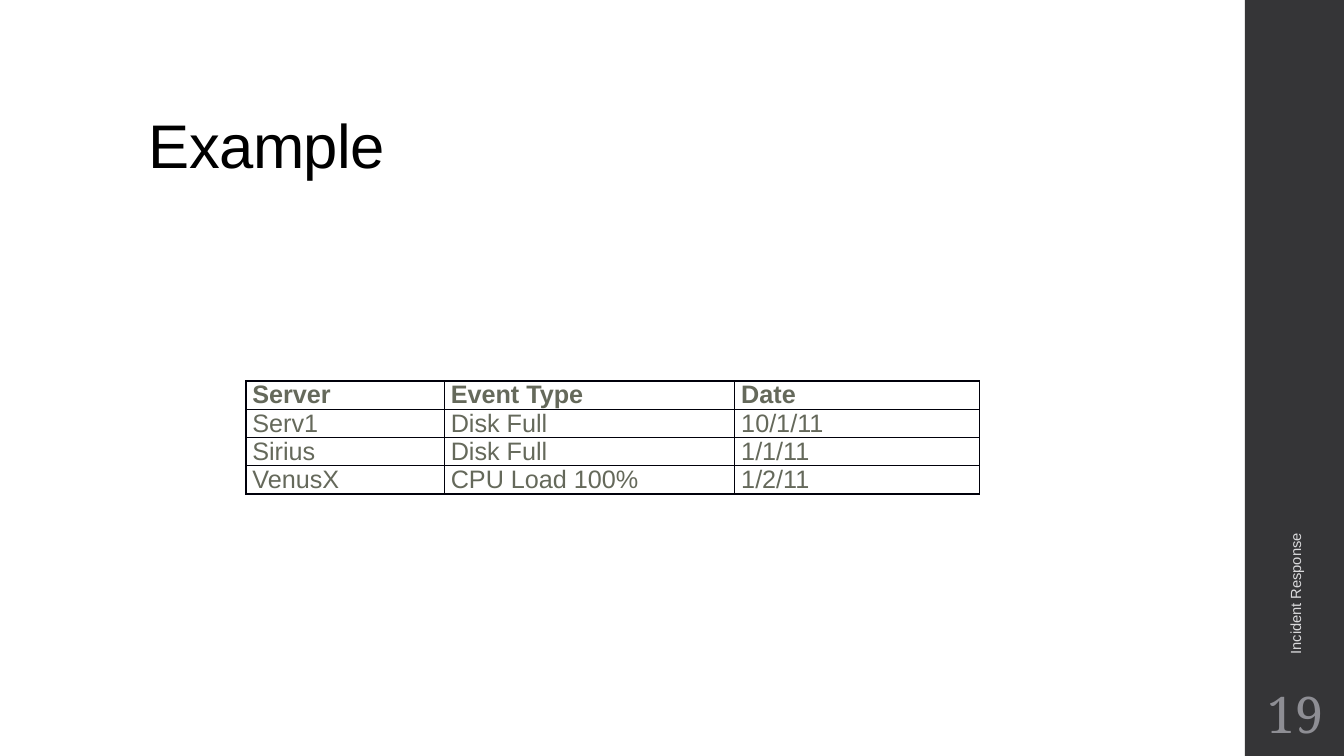
from lxml import etree
from pptx import Presentation, util as u
from pptx.dml.color import RGBColor
from pptx.enum import shapes, text
from pptx.oxml.ns import qn

SLIDE_WIDTH, SLIDE_HEIGHT = u.Cm(33.87), u.Cm(19.05)
SIDEBAR_LEFT = u.Cm(31.37)
EVENTS = [
    ("Server", "Event Type", "Date"),
    ("Serv1", "Disk Full", "10/1/11"),
    ("Sirius", "Disk Full", "1/1/11"),
    ("VenusX", "CPU Load 100%", "1/2/11"),
]
COLUMN_WIDTHS = (5, 7.32, 6.17)
ROW_HEIGHT = 0.71


def paint(color_format, value):
    color_format.rgb = RGBColor.from_string(value)


def fill_solid(fill, value):
    fill.solid()
    paint(fill.fore_color, value)


def style_text(frame, size, color, font="Arial", bold=False):
    for paragraph in frame.paragraphs:
        for run in paragraph.runs:
            run.font.size = u.Pt(size)
            run.font.name = font
            run.font.bold = bold
            paint(run.font.color, color)


def add_border(cell, color, width):
    """Draw all four edges, placed before the cell fill as the schema asks."""
    properties = cell._tc.get_or_add_tcPr()
    for position, edge in enumerate(("a:lnL", "a:lnR", "a:lnT", "a:lnB")):
        line = etree.Element(qn(edge), w=str(u.Pt(width)))
        solid = etree.SubElement(line, qn("a:solidFill"))
        etree.SubElement(solid, qn("a:srgbClr"), val=color)
        properties.insert(position, line)


def add_title(slide, words):
    title = slide.shapes.title
    title.left, title.top = u.Cm(3.5), u.Cm(1.02)
    title.width, title.height = u.Cm(26.92), u.Cm(3.68)
    frame = title.text_frame
    frame.text = words
    frame.vertical_anchor = text.MSO_ANCHOR.BOTTOM
    heading = frame.paragraphs[0]
    heading.alignment = text.PP_ALIGN.LEFT
    heading.line_spacing = 0.9
    style_text(frame, 44, "000000")
    heading.runs[0].font._element.set("spc", "-50")


def add_sidebar(slide):
    sidebar = slide.shapes.add_shape(
        shapes.MSO_SHAPE.RECTANGLE, SIDEBAR_LEFT, 0,
        SLIDE_WIDTH - SIDEBAR_LEFT, SLIDE_HEIGHT)
    sidebar.shadow.inherit = False
    fill_solid(sidebar.fill, "353537")
    sidebar.line.fill.background()


def add_label(slide, words, left, top, width, height, size, color,
              font="Arial", align=text.PP_ALIGN.LEFT, rotation=0):
    label = slide.shapes.add_textbox(
        u.Cm(left), u.Cm(top), u.Cm(width), u.Cm(height))
    label.rotation = rotation
    frame = label.text_frame
    frame.word_wrap = True
    frame.vertical_anchor = text.MSO_ANCHOR.MIDDLE
    frame.text = words
    frame.paragraphs[0].alignment = align
    style_text(frame, size, color, font)
    return frame


def add_event_table(slide):
    table = slide.shapes.add_table(
        len(EVENTS), len(COLUMN_WIDTHS), u.Cm(6.2), u.Cm(9.6),
        u.Cm(sum(COLUMN_WIDTHS)), u.Cm(ROW_HEIGHT * len(EVENTS))).table
    table.horz_banding = False
    for column, width in zip(table.columns, COLUMN_WIDTHS):
        column.width = u.Cm(width)
    for row_index, event in enumerate(EVENTS):
        table.rows[row_index].height = u.Cm(ROW_HEIGHT)
        for column_index, words in enumerate(event):
            cell = table.cell(row_index, column_index)
            cell.margin_left, cell.margin_right = u.Cm(0.16), u.Cm(0.17)
            cell.margin_top = cell.margin_bottom = 0
            cell.text_frame.text = words
            style_text(cell.text_frame, 18, "65695B", bold=row_index == 0)
            fill_solid(cell.fill, "FFFFFF")
            add_border(cell, "00000A", 1)


def main():
    deck = Presentation()
    deck.slide_width, deck.slide_height = SLIDE_WIDTH, SLIDE_HEIGHT
    slide = deck.slides.add_slide(deck.slide_layouts[5])
    fill_solid(slide.background.fill, "FFFFFF")

    # Sidebar and heading
    add_sidebar(slide)
    add_title(slide, "Example")

    # Events
    add_event_table(slide)

    # Footer and slide number in the sidebar
    add_label(slide, "Incident Response", 27.66, 11.25, 9.96, 1.02,
              10.5, "D9D9DB", rotation=270)
    number = add_label(slide, "19", 31.37, 17.15, 2.54, 1.65, 36, "8E8E94",
                       font="Noto Serif", align=text.PP_ALIGN.CENTER)
    number.margin_left = number.margin_right = u.Cm(0.13)
    number.margin_top = number.margin_bottom = u.Cm(0.13)

    deck.save("out.pptx")


main()
